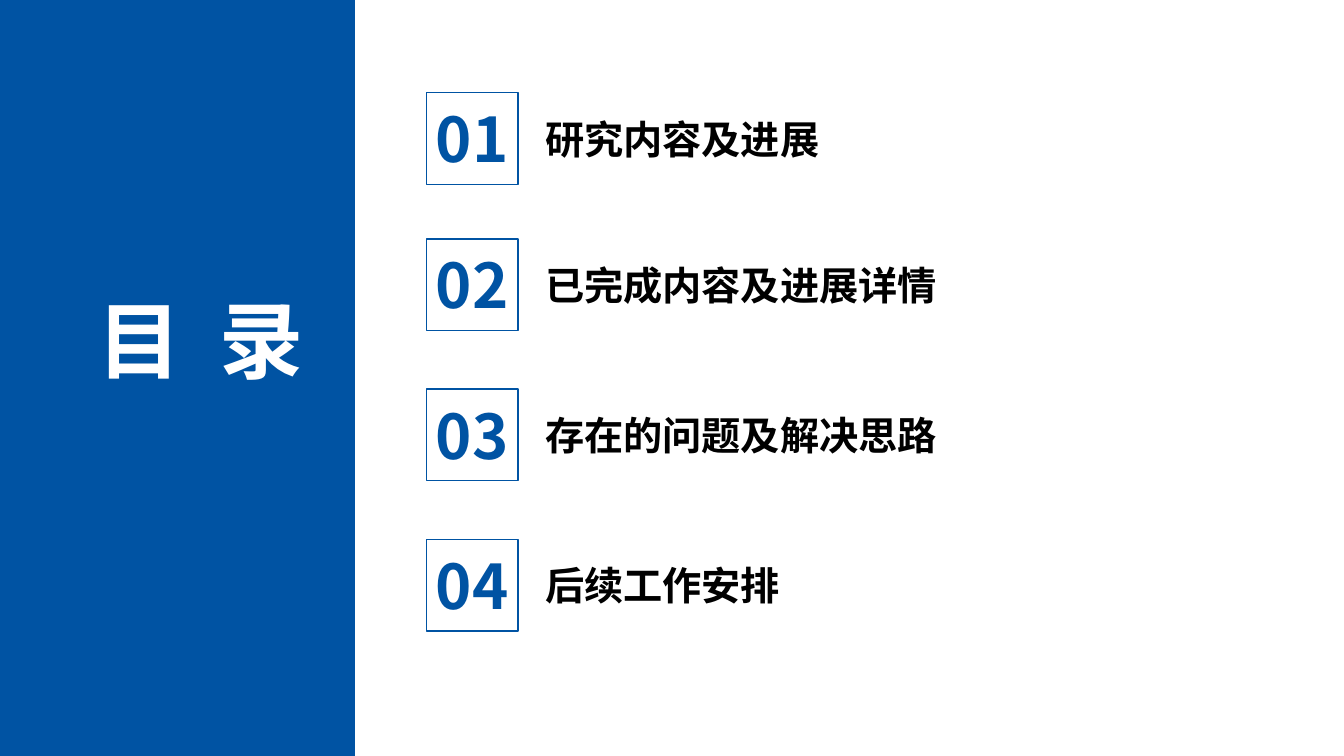
from dataclasses import dataclass

from lxml import etree
from pptx import Presentation
from pptx.dml.color import RGBColor
from pptx.enum.shapes import MSO_SHAPE
from pptx.enum.text import MSO_ANCHOR, PP_ALIGN
from pptx.oxml.ns import qn
from pptx.util import Inches, Pt

RECTANGLE = MSO_SHAPE.RECTANGLE
TOP = MSO_ANCHOR.TOP
LEFT, CENTER, RIGHT = PP_ALIGN.LEFT, PP_ALIGN.CENTER, PP_ALIGN.RIGHT

TITLE = "目 录"
# Chapter name and top of its number frame, in inches
CHAPTERS = [
    ("研究内容及进展", 0.92),
    ("已完成内容及进展详情", 2.37),
    ("存在的问题及解决思路", 3.86),
    ("后续工作安排", 5.35),
]


@dataclass(frozen=True)
class Theme:
    font: str = "Noto Sans CJK SC"
    blue: RGBColor = RGBColor(0x00, 0x53, 0xA3)
    white: RGBColor = RGBColor(0xFF, 0xFF, 0xFF)
    black: RGBColor = RGBColor(0x00, 0x00, 0x00)
    title_size: int = 60
    number_size: int = 44
    chapter_size: int = 28
    title_spacing: float = 6.7
    frame_width: int = 1


THEME = Theme()

SLIDE_WIDTH, SLIDE_HEIGHT = 13.33, 7.5
SIDEBAR_WIDTH = 3.52
FRAME_LEFT, FRAME_SIDE = 4.23, 0.91
NUMBER_WIDTH, NUMBER_HEIGHT = 0.98, 0.84
NUMBER_LEFT = FRAME_LEFT + (FRAME_SIDE - NUMBER_WIDTH) / 2
CHAPTER_LEFT, CHAPTER_WIDTH, CHAPTER_HEIGHT = 5.31, 4.46, 0.57


def add_rectangle(slide, left, top, width, height):
    shape = slide.shapes.add_shape(
        RECTANGLE, Inches(left), Inches(top), Inches(width), Inches(height))
    shape.shadow.inherit = False
    return shape


def add_text(slide, text, left, top, width, height, size, color, align=LEFT):
    """Add one bold line and return its text frame and run."""
    box = slide.shapes.add_textbox(
        Inches(left), Inches(top), Inches(width), Inches(height))
    frame = box.text_frame
    frame.word_wrap = True
    frame.vertical_anchor = TOP
    paragraph = frame.paragraphs[0]
    paragraph.alignment = align
    run = paragraph.add_run()
    run.text = text
    run.font.size = Pt(size)
    run.font.bold = True
    run.font.color.rgb = color
    run.font.name = THEME.font
    properties = run._r.get_or_add_rPr()
    etree.SubElement(properties, qn("a:ea")).set("typeface", THEME.font)
    return frame, run


def add_sidebar(slide):
    sidebar = add_rectangle(slide, 0, 0, SIDEBAR_WIDTH, SLIDE_HEIGHT)
    sidebar.fill.solid()
    sidebar.fill.fore_color.rgb = THEME.blue
    sidebar.line.fill.background()
    frame, run = add_text(slide, TITLE, 0.68, 2.81, 2.54, 1.11,
                          THEME.title_size, THEME.white, RIGHT)
    frame.margin_right = Inches(0.21)
    run._r.get_or_add_rPr().set("spc", str(round(THEME.title_spacing * 100)))


def add_chapter(slide, number, name, top):
    middle = top + FRAME_SIDE / 2
    add_text(slide, name, CHAPTER_LEFT, middle - CHAPTER_HEIGHT / 2,
             CHAPTER_WIDTH, CHAPTER_HEIGHT, THEME.chapter_size, THEME.black)
    add_text(slide, f"{number:02d}", NUMBER_LEFT, middle - NUMBER_HEIGHT / 2,
             NUMBER_WIDTH, NUMBER_HEIGHT, THEME.number_size, THEME.blue, CENTER)
    frame = add_rectangle(slide, FRAME_LEFT, top, FRAME_SIDE, FRAME_SIDE)
    frame.fill.background()
    frame.line.color.rgb = THEME.blue
    frame.line.width = Pt(THEME.frame_width)


def main():
    presentation = Presentation()
    presentation.slide_width = Inches(SLIDE_WIDTH)
    presentation.slide_height = Inches(SLIDE_HEIGHT)
    slide = presentation.slides.add_slide(presentation.slide_layouts[6])
    add_sidebar(slide)
    for number, (name, top) in enumerate(CHAPTERS, start=1):
        add_chapter(slide, number, name, top)
    presentation.save("out.pptx")


if __name__ == "__main__":
    main()
